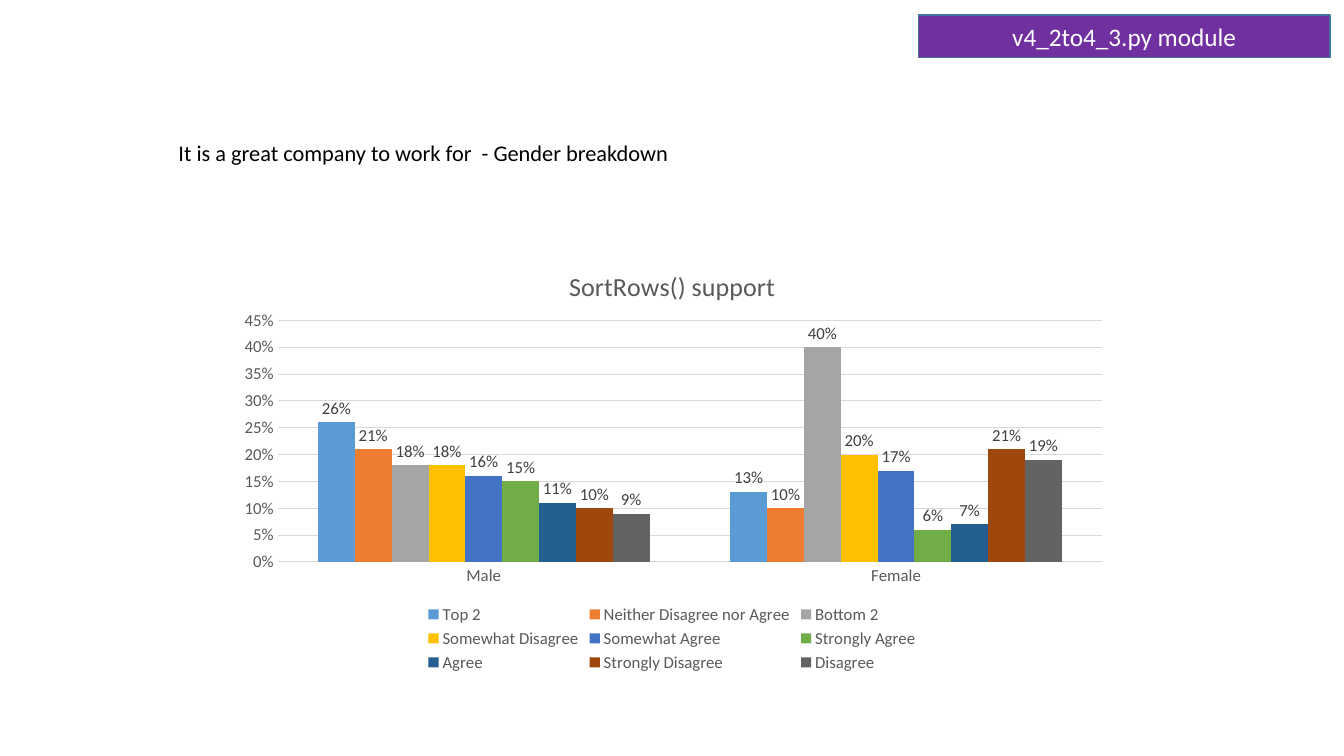
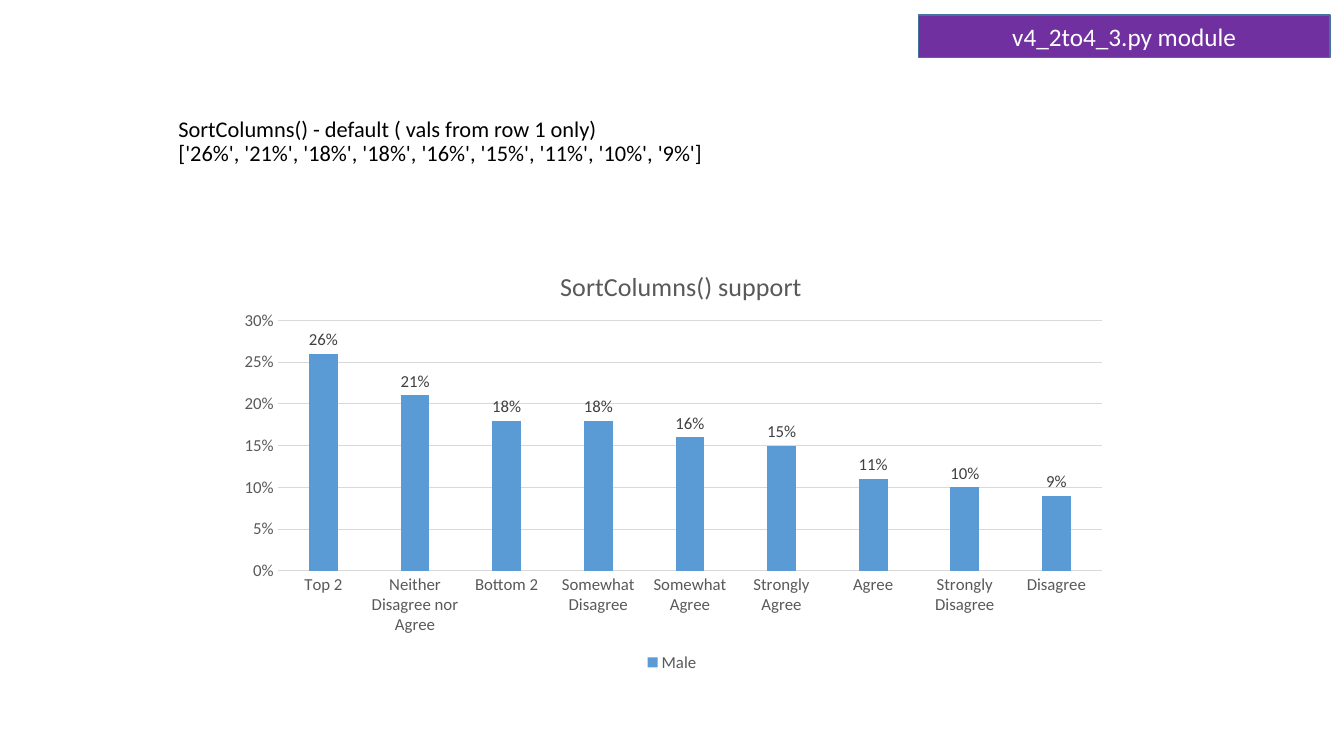
from lxml import etree
from pptx import Presentation
from pptx.chart.data import CategoryChartData
from pptx.dml.color import RGBColor
from pptx.enum.chart import XL_CHART_TYPE as ChartType
from pptx.enum.chart import XL_LABEL_POSITION as LabelPosition
from pptx.enum.chart import XL_LEGEND_POSITION as LegendPosition
from pptx.enum.chart import XL_TICK_MARK as TickMark
from pptx.enum.shapes import MSO_SHAPE as ShapeType
from pptx.enum.text import MSO_ANCHOR as Anchor
from pptx.enum.text import MSO_AUTO_SIZE as AutoSize
from pptx.enum.text import PP_ALIGN as Align
from pptx.oxml.ns import qn
from pptx.util import Inches, Pt

# Shared style
FONT = "Calibri"
BLACK = RGBColor(0x00, 0x00, 0x00)
WHITE = RGBColor(0xFF, 0xFF, 0xFF)
PURPLE = RGBColor(0x70, 0x30, 0xA0)
TAG_LINE = RGBColor(0x43, 0x73, 0x9E)
AXIS_TEXT = RGBColor(0x59, 0x59, 0x59)
LABEL_TEXT = RGBColor(0x40, 0x40, 0x40)
GRID = RGBColor(0xD9, 0xD9, 0xD9)
SERIES_COLORS = [
    RGBColor(0x5B, 0x9B, 0xD5), RGBColor(0xED, 0x7D, 0x31),
    RGBColor(0xA5, 0xA5, 0xA5), RGBColor(0xFF, 0xC0, 0x00),
    RGBColor(0x44, 0x72, 0xC4), RGBColor(0x70, 0xAD, 0x47),
    RGBColor(0x25, 0x5E, 0x91), RGBColor(0x9E, 0x48, 0x0E),
    RGBColor(0x63, 0x63, 0x63),
]

# Boxes: left, top, width, height in inches
TITLE_BOX = (1.67, 0.94, 10, 0.76)
TAG_BOX = (9.11, 0.15, 4.08, 0.42)
CHART_BOX = (2.22, 2.35, 8.89, 4.36)

# Survey results
ANSWERS = ["Top 2", "Neither Disagree nor Agree", "Bottom 2",
           "Somewhat Disagree", "Somewhat Agree", "Strongly Agree",
           "Agree", "Strongly Disagree", "Disagree"]
MALE = [0.26, 0.21, 0.18, 0.18, 0.16, 0.15, 0.11, 0.10, 0.09]
FEMALE = [0.13, 0.10, 0.40, 0.20, 0.17, 0.06, 0.07, 0.21, 0.19]


def style_font(font, size, color):
    font.name = FONT
    font.size = Pt(size)
    font.bold = False
    font.color.rgb = color


def add_title(slide, box, text):
    title = slide.shapes.title
    title.left, title.top, title.width, title.height = map(Inches, box)
    text_frame = title.text_frame
    text_frame.text = text
    text_frame.auto_size = AutoSize.NONE
    text_frame.vertical_anchor = Anchor.BOTTOM
    paragraph = text_frame.paragraphs[0]
    paragraph.alignment = Align.LEFT
    paragraph.line_spacing = 0.9
    for run in paragraph.runs:
        style_font(run.font, 16, BLACK)


def add_module_tag(slide, box):
    tag = slide.shapes.add_shape(ShapeType.RECTANGLE, *map(Inches, box))
    tag.shadow.inherit = False
    tag.fill.solid()
    tag.fill.fore_color.rgb = PURPLE
    tag.line.color.rgb = TAG_LINE
    tag.line.width = Pt(1)
    tag.text_frame.text = "v4_2to4_3.py module"
    tag.text_frame.vertical_anchor = Anchor.MIDDLE
    paragraph = tag.text_frame.paragraphs[0]
    paragraph.alignment = Align.CENTER
    style_font(paragraph.runs[0].font, 18, WHITE)


def set_layout(element, index, **settings):
    """Fix a chart part's place, as fractions of the chart's size."""
    for layout in element.findall(qn("c:layout")):
        element.remove(layout)
    layout = etree.Element(qn("c:layout"))
    manual = etree.SubElement(layout, qn("c:manualLayout"))
    for name, value in settings.items():
        etree.SubElement(manual, qn(f"c:{name}")).set("val", str(value))
    element.insert(index, layout)


def style_axes(chart):
    for axis in (chart.category_axis, chart.value_axis):
        axis.major_tick_mark = TickMark.NONE
        axis.minor_tick_mark = TickMark.NONE
        style_font(axis.tick_labels.font, 12, AXIS_TEXT)
    category_line = chart.category_axis.format.line
    grid_line = chart.value_axis.major_gridlines.format.line
    for line in (category_line, grid_line):
        line.color.rgb = GRID
        line.width = Pt(0.75)
    chart.value_axis.format.line.fill.background()
    chart.value_axis.tick_labels.number_format = "0%"
    chart.value_axis.tick_labels.number_format_is_linked = False


def add_column_chart(slide, box, title, title_x, plot_height, categories, series):
    data = CategoryChartData(number_format="0%")
    data.categories = categories
    for name, values in series:
        data.add_series(name, values)
    chart = slide.shapes.add_chart(
        ChartType.COLUMN_CLUSTERED, *map(Inches, box), data).chart
    style_font(chart.font, 10, BLACK)

    # Chart title
    chart.has_title = True
    title_frame = chart.chart_title.text_frame
    title_frame.text = title
    style_font(title_frame.paragraphs[0].runs[0].font, 18.6, AXIS_TEXT)
    chart.chart_title.include_in_layout = False
    set_layout(chart.chart_title._element, 1,
               xMode="edge", yMode="edge", x=title_x, y=0.06)

    # Plot area and columns
    plot = chart.plots[0]
    set_layout(chart._chartSpace.chart.plotArea, 0, layoutTarget="inner",
               xMode="edge", yMode="edge", x=0.06, y=0.19,
               w=0.92, h=plot_height)
    plot.gap_width = 219
    plot.overlap = 0
    plot.vary_by_categories = False
    for column_series, color in zip(plot.series, SERIES_COLORS):
        column_series.format.fill.solid()
        column_series.format.fill.fore_color.rgb = color
    style_axes(chart)

    # Value labels
    plot.has_data_labels = True
    labels = plot.data_labels
    labels.show_value = True
    labels.position = LabelPosition.OUTSIDE_END
    labels.number_format = "0%"
    labels.number_format_is_linked = False
    style_font(labels.font, 12, LABEL_TEXT)

    # Legend
    chart.has_legend = True
    chart.legend.position = LegendPosition.BOTTOM
    chart.legend.include_in_layout = False
    style_font(chart.legend.font, 12, AXIS_TEXT)


def add_chart_slide(presentation, title, **chart_settings):
    slide = presentation.slides.add_slide(presentation.slide_layouts[0])
    subtitle = slide.placeholders[1].element
    subtitle.getparent().remove(subtitle)
    add_title(slide, TITLE_BOX, title)
    add_module_tag(slide, TAG_BOX)
    add_column_chart(slide, CHART_BOX, **chart_settings)


def chart_settings(title, title_x, plot_height, categories, series):
    return {"title": title, "title_x": title_x, "plot_height": plot_height,
            "categories": categories, "series": series}


def main():
    presentation = Presentation()
    presentation.slide_width = Inches(13.33)
    presentation.slide_height = Inches(7.5)

    charts = [
        ("It is a great company to work for  - Gender breakdown",
         ("SortRows() support", 0.38, 0.55, ["Male", "Female"],
          list(zip(ANSWERS, zip(MALE, FEMALE))))),
        ("SortColumns() - default ( vals from row 1 only)\v"
         + str([f"{value:.0%}" for value in MALE]),
         ("SortColumns() support", 0.37, 0.57, ANSWERS, [("Male", MALE)])),
    ]
    for slide_title, (title, title_x, plot_height, categories, series) in charts:
        slide = presentation.slides.add_slide(presentation.slide_layouts[0])
        subtitle = slide.placeholders[1].element
        subtitle.getparent().remove(subtitle)
        add_title(slide, TITLE_BOX, slide_title)
        add_module_tag(slide, TAG_BOX)
        add_column_chart(slide, CHART_BOX, title, title_x, plot_height,
                         categories, series)

    presentation.save("out.pptx")


main()
